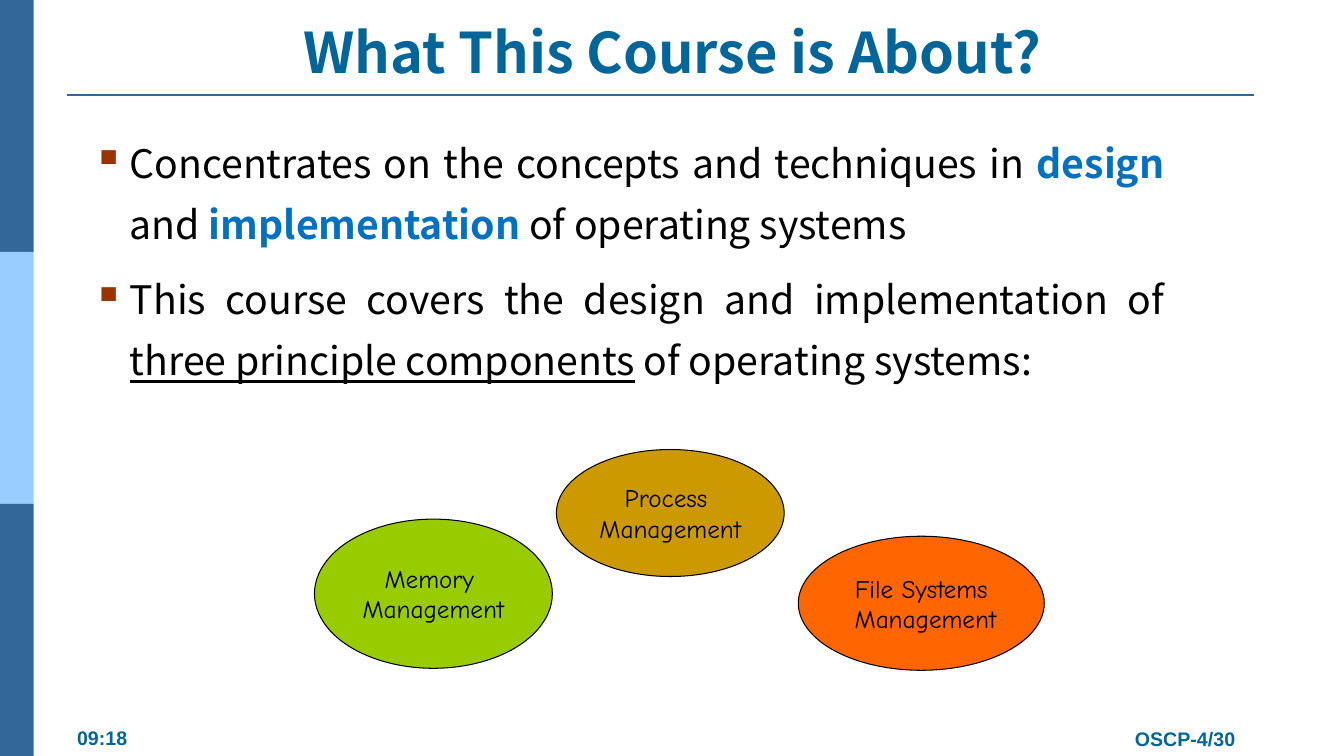
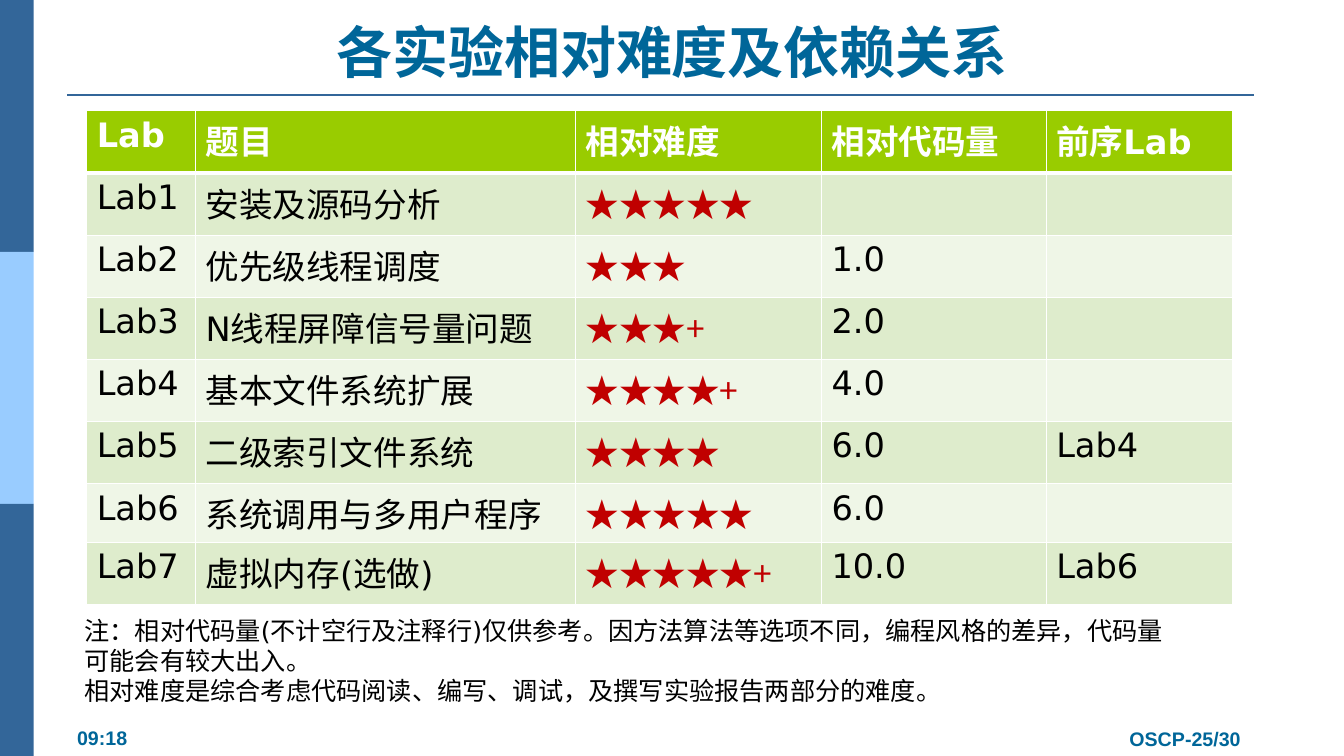
from dataclasses import dataclass

from lxml.etree import SubElement
from pptx import Presentation
from pptx.dml.color import RGBColor
from pptx.enum.shapes import MSO_CONNECTOR, MSO_SHAPE
from pptx.enum.text import MSO_ANCHOR, MSO_AUTO_SIZE, PP_ALIGN
from pptx.oxml import parse_xml
from pptx.oxml.ns import nsdecls, qn
from pptx.util import Inches, Pt

UNIT = Inches(1) // 3
COLUMNS, ROWS = 40, 22.5

NAVY = RGBColor(0x33, 0x66, 0x99)
SKY = RGBColor(0x99, 0xCC, 0xFF)
TEAL = RGBColor(0x00, 0x66, 0x99)
BLUE = RGBColor(0x00, 0x70, 0xC0)
GOLD = RGBColor(0xCC, 0x99, 0x00)
LIME = RGBColor(0x99, 0xCC, 0x00)
ORANGE = RGBColor(0xFF, 0x66, 0x00)
RED = RGBColor(0xC0, 0x00, 0x00)
BROWN = RGBColor(0x99, 0x33, 0x00)
BLACK = RGBColor(0x00, 0x00, 0x00)
WHITE = RGBColor(0xFF, 0xFF, 0xFF)
STRIPES = (RGBColor(0xDE, 0xEC, 0xCC), RGBColor(0xEF, 0xF6, 0xE7))

MAIN_FONT = "Noto Sans CJK SC"
TABLE_FONT = "DejaVu Sans"
FOOTER_FONT = "Arial"
LABEL_FONT = "Comic Neue"

POINTS = [
    [("Concentrates on the concepts and techniques in ", ""), ("design ", "key"),
     ("and ", ""), ("implementation", "key"), (" of operating systems", "")],
    [("This course covers the design and implementation of ", ""),
     ("three principle components", "underline"), (" of operating systems:", "")],
]
LABS = [
    ("Lab", "题目", "相对难度", "相对代码量", "前序Lab"),
    ("Lab1", "安装及源码分析", "★★★★★", "", ""),
    ("Lab2", "优先级线程调度", "★★★", "1.0", ""),
    ("Lab3", "N线程屏障信号量问题", "★★★+", "2.0", ""),
    ("Lab4", "基本文件系统扩展", "★★★★+", "4.0", ""),
    ("Lab5", "二级索引文件系统", "★★★★", "6.0", "Lab4"),
    ("Lab6", "系统调用与多用户程序", "★★★★★", "6.0", ""),
    ("Lab7", "虚拟内存(选做)", "★★★★★+", "10.0", "Lab6"),
]
LAB_COLUMNS = (3.24, 11.31, 7.32, 6.69, 5.55)
LAB_ROWS = (1.85,) * 6 + (1.75, 1.85)
STAR_COLUMN = 2
NOTES = (
    "注：相对代码量(不计空行及注释行)仅供参考。因方法算法等选项不同，编程风格的差异，代码量可能会有较大出入。\n"
    "相对难度是综合考虑代码阅读、编写、调试，及撰写实验报告两部分的难度。"
)


@dataclass
class Box:
    """A rectangle measured in grid columns and rows."""

    left: float
    top: float
    width: float
    height: float

    def inner(self, left, top, width, height):
        """Return a box whose position is relative to this one."""
        return Box(self.left + left, self.top + top, width, height)

    def lengths(self):
        """Return left, top, width and height as slide lengths."""
        return [round(value * UNIT) for value in (self.left, self.top, self.width, self.height)]


PAGE = Box(0, 0, COLUMNS, ROWS)


def style_run(run, size, name, color, bold=False):
    """Format one run, with the main font for East Asian text."""
    run.font.size, run.font.bold, run.font.name = Pt(size), bold, name
    run.font.color.rgb = color
    properties = run.font._element
    SubElement(properties, qn("a:ea")).set("typeface", MAIN_FONT)


def style_text(text_frame, size, name, color, bold=False, align=PP_ALIGN.LEFT):
    """Format every paragraph of a text frame alike."""
    for paragraph in text_frame.paragraphs:
        paragraph.alignment = align
        for run in paragraph.runs:
            style_run(run, size, name, color, bold)


def add_text(slide, box, text, wrap=True):
    """Add a text box and return its text frame."""
    text_frame = slide.shapes.add_textbox(*box.lengths()).text_frame
    text_frame.word_wrap = wrap
    text_frame.text = text
    return text_frame


def add_filled_shape(slide, kind, box, color):
    """Add a flat shape without an outline."""
    shape = slide.shapes.add_shape(kind, *box.lengths())
    shape.shadow.inherit = False
    shape.fill.solid()
    shape.fill.fore_color.rgb = color
    shape.line.fill.background()
    return shape


def add_side_band(slide, box, colors):
    """Stack equal blocks of colour down the box."""
    height = box.height / len(colors)
    for index, color in enumerate(colors):
        block = box.inner(0, index * height, box.width, height)
        add_filled_shape(slide, MSO_SHAPE.RECTANGLE, block, color)


def add_title(slide, box, title):
    """Place the title placeholder and the rule below it."""
    shape = slide.shapes.title
    shape.left, shape.top, shape.width, shape.height = box.inner(0, 0.78, 36, 1.89).lengths()
    text_frame = shape.text_frame
    text_frame.text = title
    text_frame.vertical_anchor = MSO_ANCHOR.BOTTOM
    text_frame.auto_size = MSO_AUTO_SIZE.NONE
    style_text(text_frame, 40, MAIN_FONT, TEAL, True, PP_ALIGN.CENTER)
    left, top, width, _ = box.inner(0, 2.82, 35.31, 0).lengths()
    rule = slide.shapes.add_connector(MSO_CONNECTOR.STRAIGHT, left, top, left + width, top)
    rule.line.color.rgb = NAVY
    rule.line.width = Pt(1.5)
    SubElement(rule._element.spPr, qn("a:effectLst"))


def add_footer(slide, box, page_number):
    """Write the time at the left and the page number at the right."""
    entries = (
        ("09:18", box.inner(0, 0, 2.1, 1.02), PP_ALIGN.LEFT),
        (page_number, box.inner(31.27, 0.02, 4, 1.02), PP_ALIGN.CENTER),
    )
    for text, place, align in entries:
        text_frame = add_text(slide, place, text, wrap=False)
        text_frame.paragraphs[0].space_before = Pt(7)
        style_text(text_frame, 14, FOOTER_FONT, TEAL, True, align)


def add_slide(presentation, title, page_number):
    """Add a title-only slide with the shared band, title and footer."""
    slide = presentation.slides.add_slide(presentation.slide_layouts[5])
    add_side_band(slide, PAGE.inner(0, 0, 1, ROWS), (NAVY, SKY, NAVY))
    add_title(slide, PAGE.inner(2, 0, 36, 3), title)
    add_footer(slide, PAGE.inner(2, 21.46, 36, 1.04), page_number)
    return slide


def add_bullet(paragraph):
    """Give a paragraph a hanging square bullet."""
    properties = paragraph._p.get_or_add_pPr()
    properties.set("marL", str(Inches(0.37)))
    properties.set("indent", str(-Inches(0.37)))
    color = SubElement(properties, qn("a:buClr"))
    SubElement(color, qn("a:srgbClr")).set("val", str(BROWN))
    SubElement(properties, qn("a:buSzPct")).set("val", "110000")
    SubElement(properties, qn("a:buChar")).set("char", "▪")


def add_points(slide, box, points):
    """Write justified bullet points with emphasised runs."""
    text_frame = add_text(slide, box, "")
    for index, parts in enumerate(points):
        paragraph = text_frame.add_paragraph() if index else text_frame.paragraphs[0]
        paragraph.alignment = PP_ALIGN.JUSTIFY
        paragraph.line_spacing = 1.3
        paragraph.space_before = Pt(10)
        add_bullet(paragraph)
        for text, emphasis in parts:
            run = paragraph.add_run()
            run.text = text
            key = emphasis == "key"
            style_run(run, 28, MAIN_FONT, BLUE if key else BLACK, key)
            run.font.underline = emphasis == "underline"


def add_components(slide, box):
    """Draw the three components as labelled ellipses."""
    components = (
        ("Process \nManagement", GOLD, (7.2, 0, 6.78, 3.78)),
        ("Memory \nManagement", LIME, (0, 2.07, 7.08, 4.44)),
        ("File Systems\n Management", ORANGE, (14.4, 2.58, 7.32, 3.99)),
    )
    for label, color, place in components:
        shape = add_filled_shape(slide, MSO_SHAPE.OVAL, box.inner(*place), color)
        shape.line.color.rgb = BLACK
        shape.line.width = Pt(0.75)
        text_frame = shape.text_frame
        text_frame.text = label
        text_frame.word_wrap = False
        text_frame.vertical_anchor = MSO_ANCHOR.MIDDLE
        style_text(text_frame, 18, LABEL_FONT, BLACK, align=PP_ALIGN.CENTER)


def set_borders(cell, widths):
    """Draw white borders with the given width for each side."""
    properties = cell._tc.get_or_add_tcPr()
    for index, (side, width) in enumerate(widths.items()):
        border = parse_xml(
            f'<a:ln{side} {nsdecls("a")} w="{Pt(width)}"><a:solidFill>'
            f'<a:srgbClr val="{WHITE}"/></a:solidFill></a:ln{side}>'
        )
        properties.insert(index, border)


def format_cell(cell, row, column):
    """Fill, outline and format a cell by its place in the table."""
    header = row == 0
    stars = column == STAR_COLUMN and not header
    cell.fill.solid()
    cell.fill.fore_color.rgb = LIME if header else STRIPES[(row - 1) % 2]
    set_borders(cell, {"L": 1, "R": 1, "T": 3 if row == 1 else 1, "B": 3 if header else 1})
    color = WHITE if header else RED if stars else BLACK
    style_text(cell.text_frame, 24, MAIN_FONT if stars else TABLE_FONT, color, header)


def add_lab_table(slide, box):
    """Build the table of labs."""
    frame = slide.shapes.add_table(len(LABS), len(LAB_COLUMNS), *box.lengths())
    table = frame.table
    for column, width in zip(table.columns, LAB_COLUMNS):
        column.width = round(width * UNIT)
    for row, height in zip(table.rows, LAB_ROWS):
        row.height = round(height * UNIT)
    for row, values in enumerate(LABS):
        for column, value in enumerate(values):
            cell = table.cell(row, column)
            cell.text = value
            format_cell(cell, row, column)


def build_course_slide(presentation):
    """Build the slide about the course content."""
    slide = add_slide(presentation, "What This Course is About?", "OSCP-4/30")
    add_points(slide, PAGE.inner(2.46, 3.57, 32.49, 8.91), POINTS)
    add_components(slide, PAGE.inner(9.36, 13.38, 21.72, 6.57))


def build_lab_slide(presentation):
    """Build the slide that compares the labs."""
    slide = add_slide(presentation, "各实验相对难度及依赖关系", "OSCP-25/30")
    add_lab_table(slide, PAGE.inner(2.58, 3.3, sum(LAB_COLUMNS), sum(LAB_ROWS)))
    notes = add_text(slide, PAGE.inner(2.22, 18.15, 33.27, 3.03), NOTES)
    style_text(notes, 18, TABLE_FONT, BLACK)


def main():
    """Create the presentation and save it."""
    presentation = Presentation()
    presentation.slide_width = COLUMNS * UNIT
    presentation.slide_height = round(ROWS * UNIT)
    build_course_slide(presentation)
    build_lab_slide(presentation)
    presentation.save("out.pptx")


if __name__ == "__main__":
    main()
